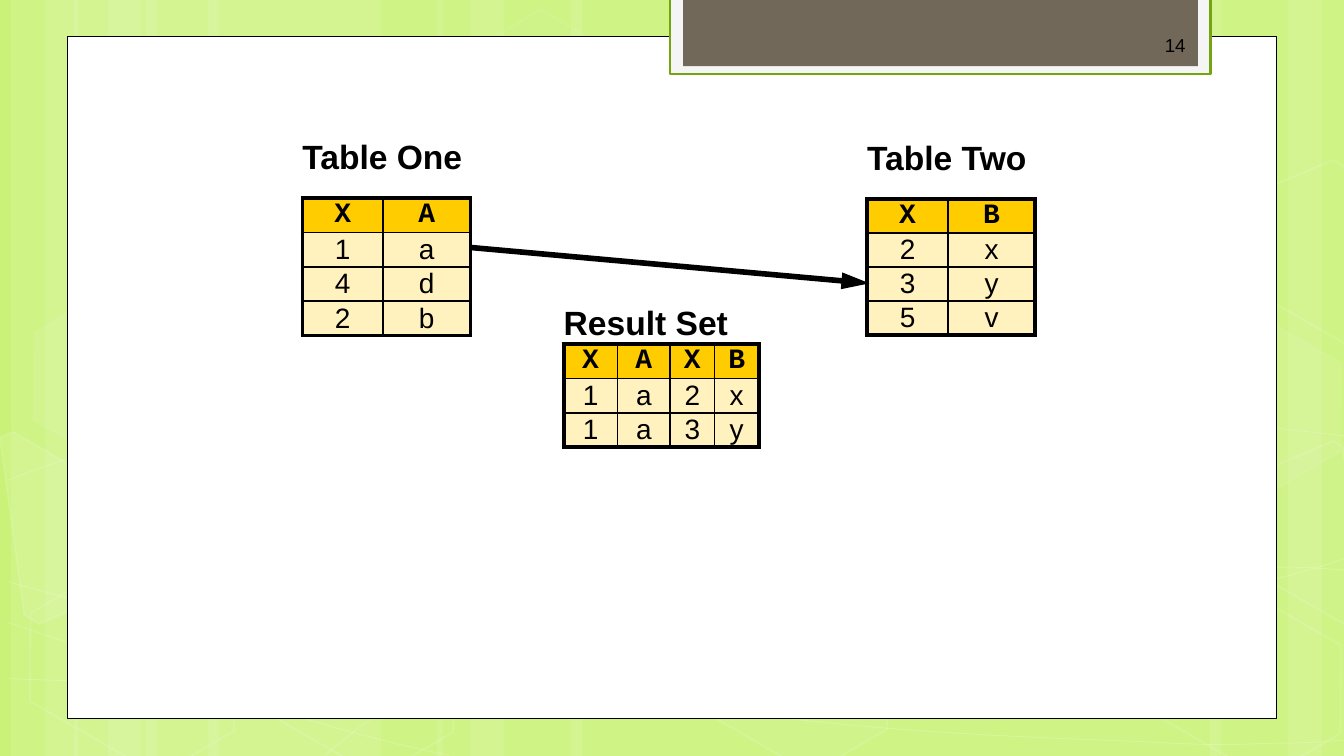
from math import cos, radians, sin

from lxml.etree import SubElement
from pptx import Presentation
from pptx.dml.color import RGBColor
from pptx.enum.shapes import MSO_CONNECTOR, MSO_SHAPE
from pptx.enum.text import MSO_ANCHOR, PP_ALIGN
from pptx.oxml.ns import qn
from pptx.util import Pt

WHITE, BLACK = "FFFFFF", "000000"
NO_STYLE = "{2D5ABB26-0587-4C30-8999-92F81FD0307C}"
TILT = 30


def paint(fill, color, opacity=100):
    """Set a solid colour; an opacity of 0 means no fill."""
    if opacity == 0:
        fill.background()
        return
    fill.solid()
    fill.fore_color.rgb = RGBColor.from_string(color)
    if opacity < 100:
        rgb = fill._xPr.find(qn("a:solidFill"))[0]
        SubElement(rgb, qn("a:alpha"), val=str(opacity * 1000))


def finish(shape, color, opacity, line_color, line_width, line_opacity):
    shape.shadow.inherit = False
    paint(shape.fill, color, opacity)
    paint(shape.line.fill, line_color, line_opacity)
    if line_opacity:
        shape.line.width = Pt(line_width)


prs = Presentation()
prs.slide_width, prs.slide_height = Pt(720), Pt(405)
slide = prs.slides.add_slide(prs.slide_layouts[6])
shapes = slide.shapes
paint(slide.background.fill, "CAF278")

# Translucent vertical stripes: left, width
stripes = [
    (78, 126), (6, 36), (24, 60), (111.6, 126), (39.6, 36), (57.6, 60),
    (528, 126), (690, 36), (648, 60), (306, 222), (234, 36), (252, 60),
]
for left, width in stripes:
    stripe = shapes.add_shape(MSO_SHAPE.RECTANGLE, Pt(left), 0, Pt(width), prs.slide_height)
    finish(stripe, WHITE, 10, WHITE, 0, 0)

# Thin waves: a start point, then three points for each cubic Bézier piece
waves = [
    [(5, 363.6), (43.9, 365), (82.8, 366.5), (136.8, 365.8),
     (190.8, 365), (257.8, 364.3), (329.8, 359.3),
     (401.8, 353.5), (504, 343.4), (570.2, 333.4),
     (635.8, 322.6), (703.4, 306.7), (725, 297.4)],
    [(5, 257), (25.9, 249.1), (46.8, 241.2), (87.1, 232.6),
     (128.2, 224.6), (186.5, 213.1), (249.8, 208.8),
     (313.9, 205.2), (391.7, 204.5), (470.9, 208.8),
     (550.1, 213.1), (681.8, 229.7), (725, 234)],
    [(4.3, 333.4), (91.4, 362.9), (177.8, 392.4), (240.5, 404.6)],
    [(5, 311.8), (27.4, 318.2), (50.4, 324), (92.2, 332.6),
     (133.9, 341.3), (196.6, 354.2), (257, 363.6),
     (316.8, 372.2), (392.4, 382.3), (452.2, 388.1),
     (511.9, 393.8), (576, 396), (614.2, 397.4),
     (651.6, 399.6), (661.7, 398.9), (680.4, 398.2),
     (699.1, 398.2), (712.1, 397.4), (725, 396)],
    [(174.2, 404.6), (187.2, 393.8), (200.2, 383), (217.4, 373),
     (234.7, 362.9), (259.2, 352.1), (279.4, 344.9),
     (299.5, 337.7), (311.8, 334.1), (338.4, 329),
     (364.3, 323.3), (412.6, 315.4), (437.8, 311.8),
     (463.7, 308.2), (467.3, 308.9), (489.6, 307.4),
     (511.2, 306), (547.2, 304.6), (571.7, 303.8),
     (596.9, 303.1), (637.9, 303.8), (637.9, 303.8),
     (637.9, 303.8), (686.2, 303.8), (686.2, 303.8),
     (698.4, 303.8), (711.4, 304.6), (717.8, 305.3),
     (724.3, 305.3), (722.2, 305.3), (724.3, 306)],
]
for wave in waves:
    points = [(Pt(x), Pt(y)) for x, y in wave]
    builder = shapes.build_freeform(*points[0])
    builder.add_line_segments(points[1:], close=False)
    curve = builder.convert_to_shape()
    # Join every three straight segments into one Bézier piece
    segments = list(curve._element.iter(qn("a:lnTo")))
    outline = segments[0].getparent()
    for i in range(0, len(segments), 3):
        bezier = SubElement(outline, qn("a:cubicBezTo"))
        for segment in segments[i:i + 3]:
            bezier.append(segment[0])
            outline.remove(segment)
    finish(curve, WHITE, 0, WHITE, 0.5, 20)

# Tilted hexagons: left, top, fill opacity, line opacity
hexagons = [
    (240.5, 19.4, 4, 8), (357.8, 318.2, 6, 12), (7.9, 319, 0, 12), (10.1, 168.5, 7, 8),
    (125.3, 319.7, 0, 12), (600.5, 320.4, 0, 12), (600.5, 169.2, 7, 8),
]
for left, top, opacity, line_opacity in hexagons:
    hexagon = shapes.add_shape(MSO_SHAPE.HEXAGON, Pt(left), Pt(top), Pt(126), Pt(82))
    hexagon.adjustments[0] = 0.285
    hexagon.rotation = TILT
    finish(hexagon, WHITE, opacity, WHITE, 1, line_opacity)

# Hexagons cut off by the slide edges: fill opacity, centre, corners as seen
cut_hexagons = [
    (10, (25.9, 289.4),
     [(0, 234), (7.2, 231.1), (61.9, 262.8), (68.4, 313.9), (20.9, 334.1), (13, 329)]),
    (4, (709.2, 280.8),
     [(666.7, 256.3), (714.2, 236.2), (719.3, 239), (733, 337), (728.6, 339.1), (673.2, 307.4)]),
    (0, (709.2, 130.3),
     [(666.7, 105.8), (714.2, 85.7), (720, 89.3), (733, 187.2), (728.6, 188.6), (673.2, 157)]),
]
cosine, sine = cos(radians(TILT)), sin(radians(TILT))
for opacity, (cx, cy), corners in cut_hexagons:
    # Turn the corners back, so that the tilt of the shape brings them into place
    level = [(Pt(cx + (x - cx) * cosine + (y - cy) * sine),
              Pt(cy - (x - cx) * sine + (y - cy) * cosine)) for x, y in corners]
    builder = shapes.build_freeform(*level[0])
    builder.add_line_segments(level[1:], close=True)
    cut_hexagon = builder.convert_to_shape()
    cut_hexagon.rotation = TILT
    finish(cut_hexagon, WHITE, opacity, WHITE, 1, 12)

# White page and the tab at the top: box, fill, line colour, line width, line opacity
panels = [
    ((36, 19.5, 648, 365.3), WHITE, BLACK, 0.5, 100),
    ((359, -1.4, 289.6, 41.2), "F5F5F5", "74A510", 1.25, 100),
    ((366, -1.4, 275.8, 36.9), "71685A", WHITE, 0, 0),
]
for box, color, line_color, line_width, line_opacity in panels:
    panel = shapes.add_shape(MSO_SHAPE.RECTANGLE, *map(Pt, box))
    finish(panel, color, 100, line_color, line_width, line_opacity)

# Tables: title, left, top, title row height, row height, column widths, rows (header first)
tables = [
    ("Table One", 162, 63.4, 42.8, 18.4, [43.2, 46.8], ["XA", "1a", "4d", "2b"]),
    ("Table Two", 464.6, 63.4, 43.2, 18.2, [43.2, 46.8], ["XB", "2x", "3y", "5v"]),
    ("Result Set", 302, 162.7, 21.6, 18.4, [28.8, 28.2, 23.8, 23.8], ["XAXB", "1a2x", "1a3y"]),
]
for title, left, top, title_height, row_height, widths, rows in tables:
    heights = [title_height] + [row_height] * len(rows)
    table = shapes.add_table(len(heights), len(widths), Pt(left), Pt(top),
                             Pt(sum(widths)), Pt(sum(heights))).table
    table.first_row = table.horz_banding = False
    table._tbl.tblPr.find(qn("a:tableStyleId")).text = NO_STYLE
    for column, width in zip(table.columns, widths):
        column.width = Pt(width)
    for row, height in zip(table.rows, heights):
        row.height = Pt(height)
    last_row, last_column = len(rows), len(widths) - 1
    table.cell(0, 0).merge(table.cell(0, last_column))

    for r, row_texts in enumerate([[title] + [""] * last_column] + rows):
        for c, text in enumerate(row_texts):
            cell = table.cell(r, c)
            cell.vertical_anchor = MSO_ANCHOR.MIDDLE
            cell.margin_top = cell.margin_bottom = 0
            cell.margin_left = cell.margin_right = Pt(5 if r else 0)

            # Thick outer frame, thin inner grid, no frame around the title
            thick = {"L": c == 0, "R": c == last_column, "T": r == 1, "B": r in (0, last_row)}
            for side in thick if r else "B":
                border = SubElement(cell._tc.get_or_add_tcPr(), qn(f"a:ln{side}"),
                                    w=str(Pt(2.25 if thick[side] else 1)))
                ink = SubElement(border, qn("a:solidFill"))
                SubElement(ink, qn("a:srgbClr"), val=BLACK)
            paint(cell.fill, "FFCC00" if r == 1 else "FFF2BE", 100 if r else 0)

            if text:
                paragraph = cell.text_frame.paragraphs[0]
                paragraph.text = text
                paragraph.alignment = PP_ALIGN.CENTER if r else PP_ALIGN.LEFT
                font = paragraph.runs[0].font
                font.name = "Courier New" if r == 1 else "Arial"
                font.size = Pt(15 if r else 18)
                font.bold = r < 2
                paint(font.fill, BLACK)

# Slide number
number = shapes.add_textbox(Pt(472.3), Pt(13.4), Pt(167.8), Pt(21.6)).text_frame
number.word_wrap = True
number.vertical_anchor = MSO_ANCHOR.MIDDLE
number.margin_left = number.margin_right = Pt(5)
number.margin_top = number.margin_bottom = Pt(3)
number.text = "14"
number.paragraphs[0].alignment = PP_ALIGN.RIGHT
number_font = number.paragraphs[0].runs[0].font
number_font.name, number_font.size = "Arial", Pt(10)
paint(number_font.fill, BLACK)

# Arrow from the first row of Table One to Table Two
arrow = shapes.add_connector(MSO_CONNECTOR.STRAIGHT, Pt(252), Pt(132.6), Pt(465.8), Pt(151.8))
paint(arrow.line.fill, BLACK)
arrow.line.width = Pt(3)
SubElement(arrow.line._get_or_add_ln(), qn("a:tailEnd"), type="triangle", len="lg")
SubElement(arrow._element.spPr, qn("a:effectLst"))

prs.save("out.pptx")
